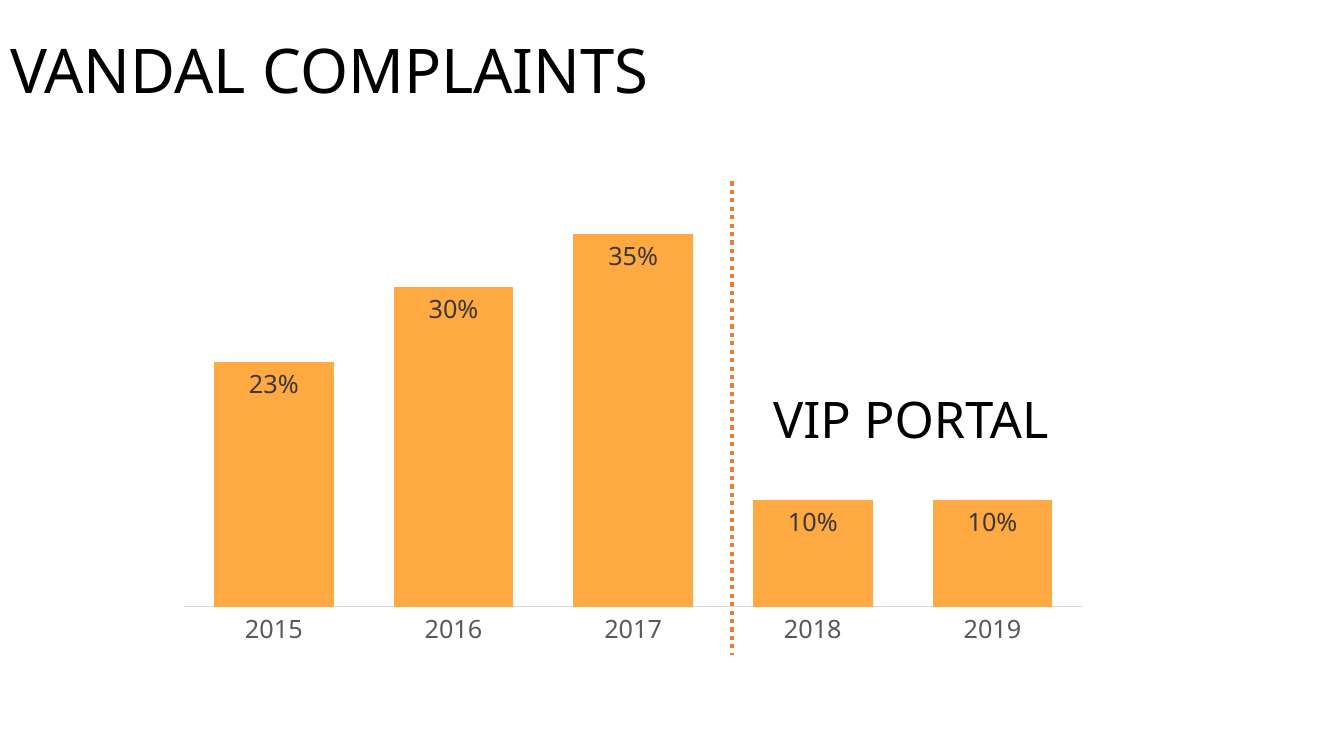
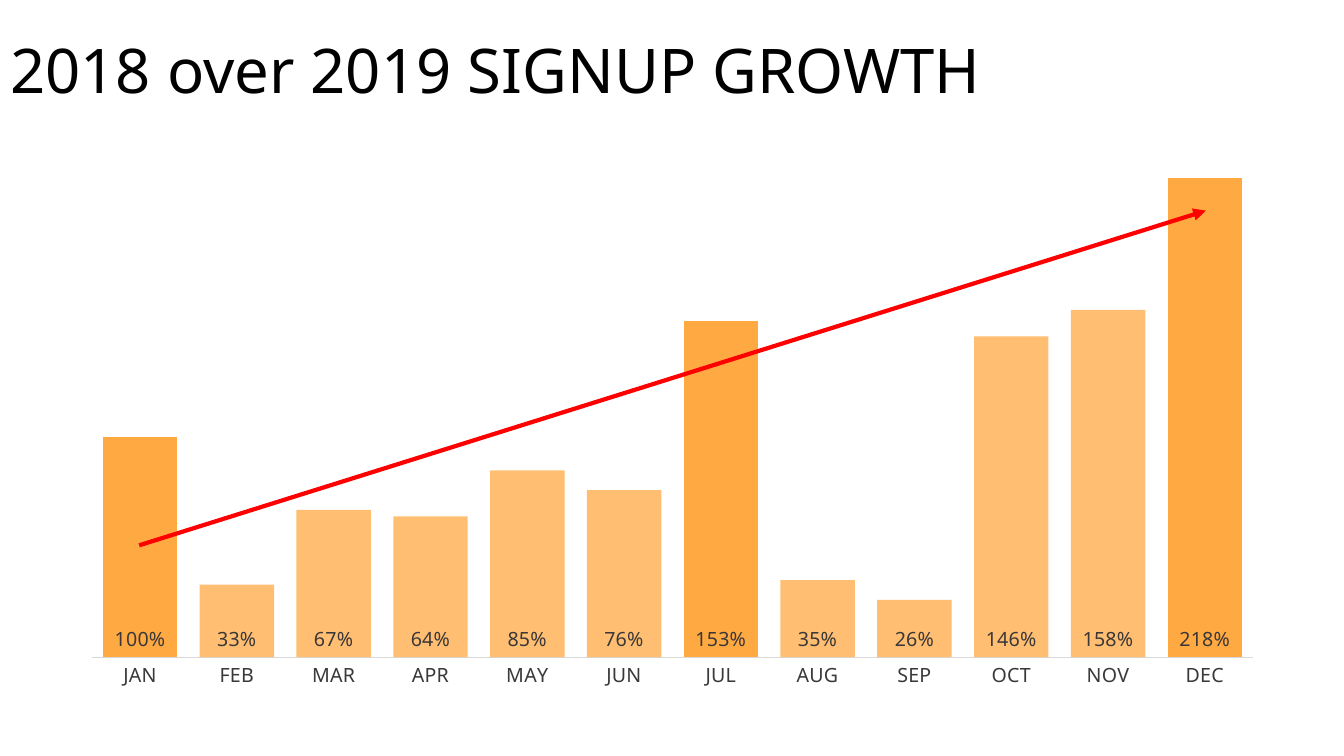
from lxml import etree
from pptx import Presentation
from pptx.chart.data import CategoryChartData
from pptx.dml.color import RGBColor
from pptx.enum import chart as ch, dml, shapes, text
from pptx.oxml.ns import qn
from pptx.util import Inches, Pt

COLORS = {
    "black": "000000",
    "bar": "FFA942",
    "label": "3B3838",
    "year": "595959",
    "axis": "D9D9D9",
    "divider": "ED7D31",
    "trend": "FF0000",
}
FONT = "Noto Sans"
TITLE_HEIGHT = 1.45


def color(name):
    return RGBColor.from_string(COLORS[name])


def set_font(font, size, name):
    font.name = FONT
    font.size = Pt(size)
    font.color.rgb = color(name)


def write_text(tf, content, size, name="black", anchor=text.MSO_ANCHOR.TOP,
               auto_size=text.MSO_AUTO_SIZE.NONE, wrap=True, spacing=None):
    tf.word_wrap = wrap
    tf.auto_size = auto_size
    tf.vertical_anchor = anchor
    p = tf.paragraphs[0]
    p.alignment = text.PP_ALIGN.LEFT
    p.line_spacing = spacing
    r = p.add_run()
    r.text = content
    set_font(r.font, size, name)


def add_titled_slide(prs, title, width):
    slide = prs.slides.add_slide(prs.slide_layouts[5])
    sp = slide.shapes.title
    sp.left, sp.top = Inches(0), Inches(0)
    sp.width, sp.height = Inches(width), Inches(TITLE_HEIGHT)
    write_text(sp.text_frame, title, 44, anchor=text.MSO_ANCHOR.MIDDLE, spacing=0.9)
    return slide


def add_column_chart(slide, box, categories, values, top_value, gap, size,
                     position, axis_color, overlap=0, faded=()):
    """Draw percentage columns; the indexes in faded are partly transparent."""
    data = CategoryChartData(number_format="0%")
    data.categories = categories
    data.add_series("Series 1", values)
    chart = slide.shapes.add_chart(
        ch.XL_CHART_TYPE.COLUMN_CLUSTERED, *map(Inches, box), data).chart
    chart.has_title = False
    chart.has_legend = False
    set_font(chart.font, size, "label")

    axis = chart.category_axis
    axis.major_tick_mark = ch.XL_TICK_MARK.NONE
    axis.format.line.color.rgb = color("axis")
    axis.format.line.width = Pt(0.75)
    set_font(axis.tick_labels.font, size, axis_color)
    scale = chart.value_axis
    scale.minimum_scale, scale.maximum_scale = 0, top_value
    scale.has_major_gridlines = False
    scale.visible = False

    plot = chart.plots[0]
    plot.gap_width, plot.overlap = gap, overlap
    plot.vary_by_categories = False
    series = plot.series[0]
    series.invert_if_negative = False
    series.format.fill.solid()
    series.format.fill.fore_color.rgb = color("bar")
    for i in faded:
        fade(series.points[i].format.fill, 75)

    labels = series.data_labels
    labels.show_value = True
    labels.position = position
    labels.number_format = "0%"
    labels.number_format_is_linked = False
    set_font(labels.font, size, "label")


def fade(fill, opacity):
    fill.solid()
    fill.fore_color.rgb = color("bar")
    rgb = fill._xPr.find(".//" + qn("a:srgbClr"))
    etree.SubElement(rgb, qn("a:alpha"), val=str(opacity * 1000))


def add_line(slide, start, end, name, dash=None, arrow=False):
    line = slide.shapes.add_connector(
        shapes.MSO_CONNECTOR.STRAIGHT, *map(Inches, (*start, *end)))
    line.line.color.rgb = color(name)
    line.line.width = Pt(3)
    if dash:
        line.line.dash_style = dash
    properties = line._element.spPr
    if arrow:
        etree.SubElement(properties.find(qn("a:ln")), qn("a:tailEnd"), type="triangle")
    etree.SubElement(properties, qn("a:effectLst"))


def add_complaints_slide(prs):
    slide = add_titled_slide(prs, "VANDAL COMPLAINTS", 12.33)
    left, top, width, height = box = 1.64, 1.7, 9.28, 4.8
    add_column_chart(
        slide, box, [str(year) for year in range(2015, 2020)],
        [0.23, 0.3, 0.35, 0.1, 0.1], top_value=0.4, gap=50, overlap=50,
        size=18, position=ch.XL_LABEL_POSITION.INSIDE_END, axis_color="year")
    divider = left + 5.62
    add_line(slide, (divider, top + 0.1), (divider, top + height), "divider",
             dash=dml.MSO_LINE.ROUND_DOT)
    sp = slide.shapes.add_textbox(
        *map(Inches, (divider + 0.31, top + 2.1, 3.04, 0.71)))
    write_text(sp.text_frame, "VIP PORTAL", 36, wrap=False,
               auto_size=text.MSO_AUTO_SIZE.SHAPE_TO_FIT_TEXT)


def add_growth_slide(prs):
    slide = add_titled_slide(prs, "2018 over 2019 SIGNUP GROWTH", 11.5)
    left, top, width, height = box = 0.67, 0.95, 12, 6
    months = "JAN FEB MAR APR MAY JUN JUL AUG SEP OCT NOV DEC".split()
    highlights = {"JAN", "JUL", "DEC"}
    add_column_chart(
        slide, box, months,
        [1, 0.33, 0.67, 0.64, 0.85, 0.76, 1.53, 0.35, 0.26, 1.46, 1.58, 2.18],
        top_value=2.5, gap=30, size=14,
        position=ch.XL_LABEL_POSITION.INSIDE_BASE, axis_color="label",
        faded=[i for i, month in enumerate(months) if month not in highlights])
    inset = 0.71
    add_line(slide, (left + inset, top + 4.46),
             (left + width - inset, top + 1.14), "trend", arrow=True)


def main():
    prs = Presentation()
    prs.slide_width, prs.slide_height = Inches(13.33), Inches(7.5)
    add_complaints_slide(prs)
    add_growth_slide(prs)
    prs.save("out.pptx")


if __name__ == "__main__":
    main()
